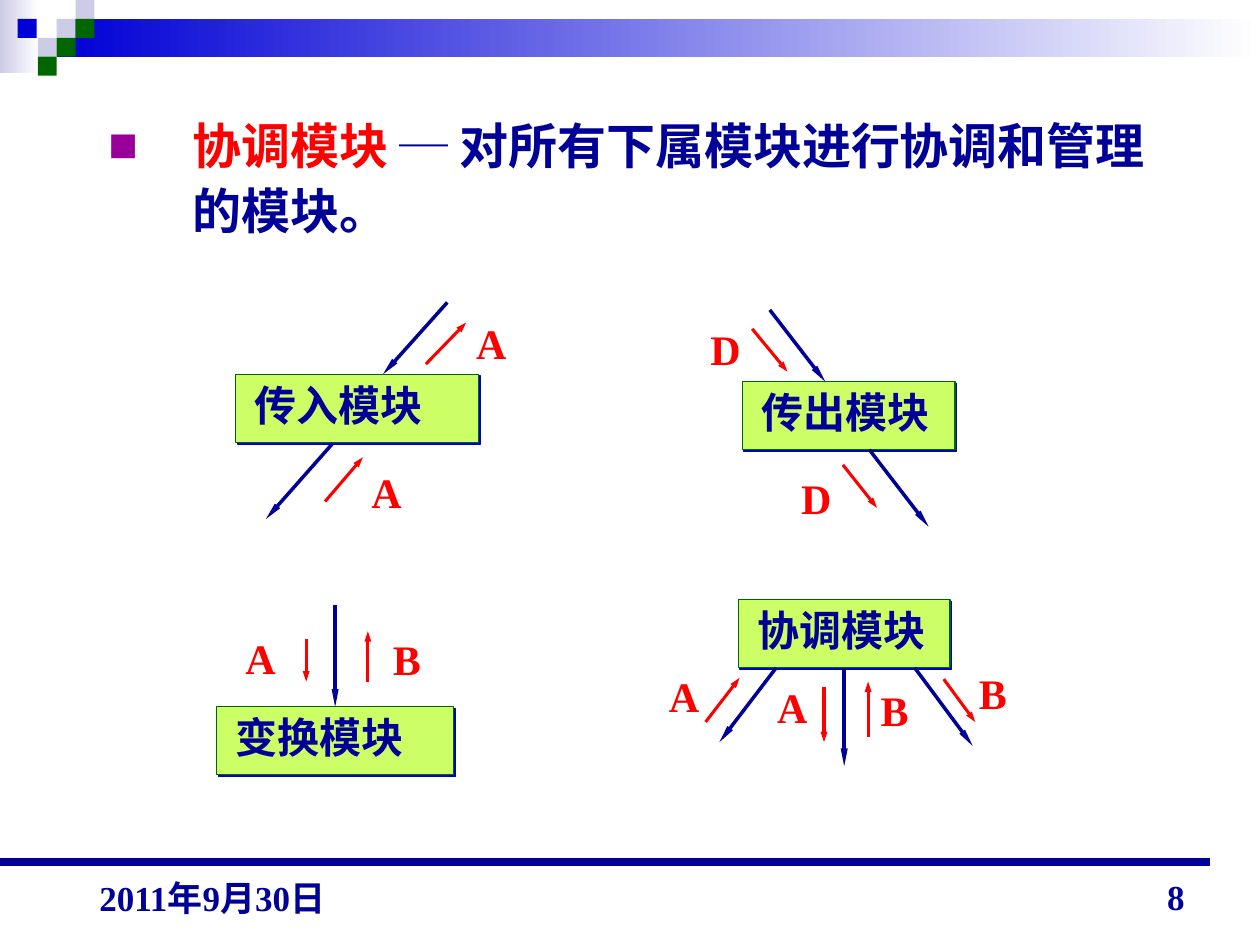
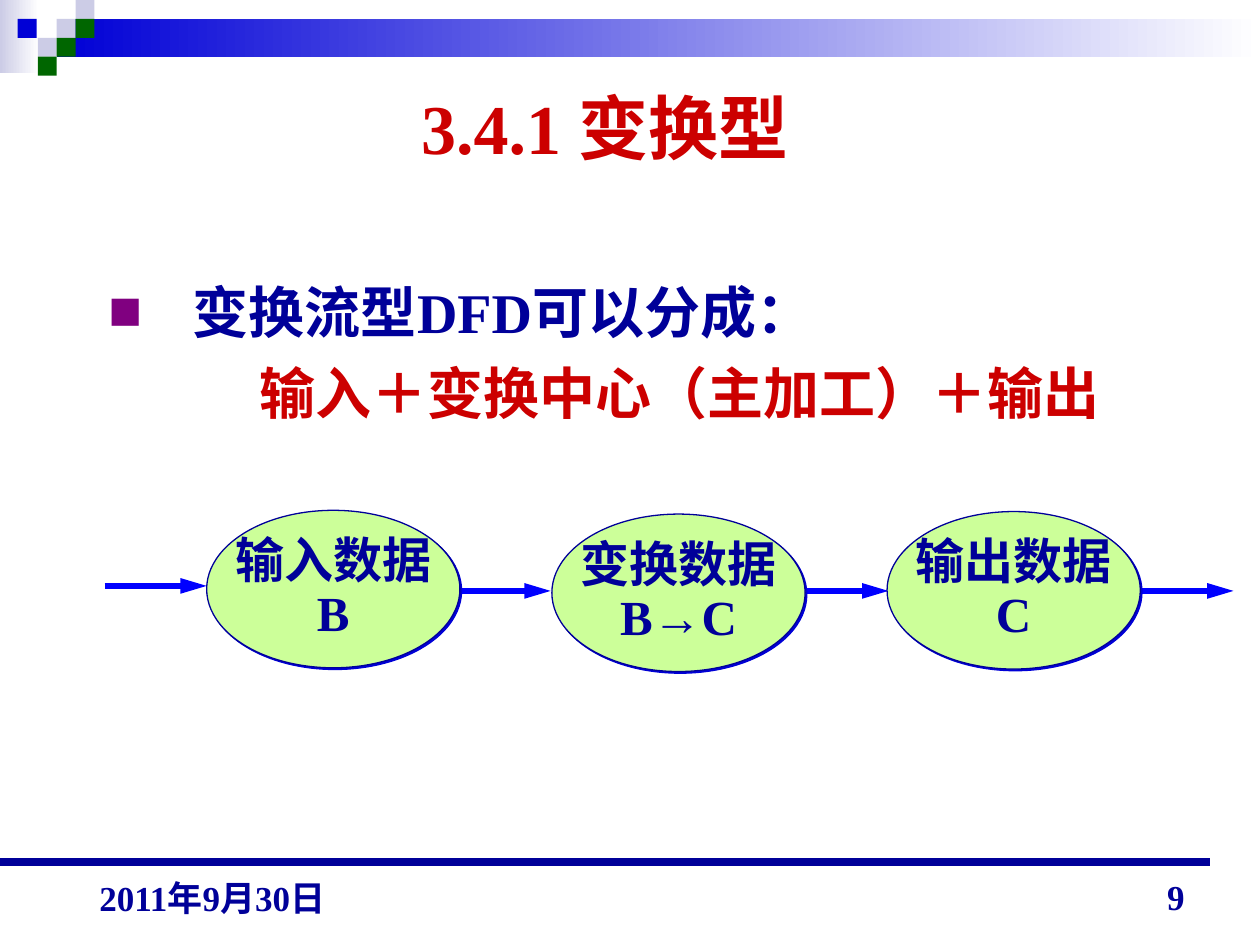
from lxml import etree
from pptx import Presentation
from pptx import util as u
from pptx.dml.color import RGBColor
from pptx.enum import shapes, text
from pptx.oxml.ns import qn

PX = 9144  # EMU per px, 100 px to the inch
FONT, SYMBOL_FONT = "Times New Roman", "Arial"

WHITE = RGBColor(0xFF, 0xFF, 0xFF)
NAVY = RGBColor(0x00, 0x00, 0x99)
BAND_BLUE = RGBColor(0x00, 0x00, 0xD6)
ARROW_BLUE = RGBColor(0x00, 0x00, 0xFF)
LAVENDER = RGBColor(0xCC, 0xCC, 0xE6)
GREEN = RGBColor(0x00, 0x66, 0x00)
LIME = RGBColor(0xCC, 0xFF, 0x66)
PALE_GREEN = RGBColor(0xCC, 0xFF, 0x99)
RED = RGBColor(0xFF, 0x00, 0x00)
DARK_RED = RGBColor(0xCC, 0x00, 0x00)
PURPLE = RGBColor(0x99, 0x00, 0x99)
DARK_PURPLE = RGBColor(0x80, 0x00, 0x80)

DATE = "2011年9月30日"

# Header: gradient bands (box, left colour), then the small squares
BANDS = [((0, 0, 31, 58), LAVENDER), ((45, 15, 955, 30), BAND_BLUE)]
SQUARE = 15
SQUARES = [
    (45, 15, LAVENDER), (60, 0, LAVENDER), (60, 15, GREEN), (30, 30, LAVENDER),
    (14, 15, BAND_BLUE), (45, 30, GREEN), (30, 45, GREEN),
]

# Arrow styles: colour, points, head width, head length
CALL = (NAVY, 2, "sm", "lg")
DATA = (RED, 1.75, "sm", "med")
FLOW = (ARROW_BLUE, 3, "med", "lg")

# Paragraphs: runs (text, colour), size, left margin, first indent,
# line spacing, space before, bullet colour
COORDINATION = [
    dict(runs=[("协调模块", RED), (" ─ 对所有下属模块进行协调和管理的模块。", NAVY)],
         size=28, margin=67, indent=-67, spacing=1.1, before=0, bullet=PURPLE),
]
TRANSFORM_TITLE = "3.4.1 变换型"
TRANSFORM = [
    dict(runs=[("变换流型DFD可以分成：", NAVY)], size=32, margin=67, indent=-67,
         spacing=1.0, before=0, bullet=DARK_PURPLE),
    dict(runs=[("输入＋变换中心（主加工）＋输出", DARK_RED)], size=32, margin=120, indent=0,
         spacing=1.0, before=8, bullet=None),
]

# Arrows run (x1, y1, x2, y2); "caller" and "callee" meet the middle of the box
MODULES = [
    dict(name="传入模块", box=(187, 297, 193, 54),
         calls=[(355, 240, 304, 297), (264, 352, 211, 412)],
         data=[(338, 289, 370, 256), (258, 398, 288, 363)],
         labels=[("A", 285, 365), ("A", 368, 247)]),
    dict(name="传出模块", box=(589, 303, 169, 54),
         calls=[(611, 246, 655, 303), (690, 357, 737, 418)],
         data=[(597, 261, 625, 295), (669, 369, 696, 403)],
         labels=[("D", 626, 370), ("D", 554, 252)]),
    dict(name="变换模块", box=(172, 561, 188, 54),
         calls=[], callee=(266, 480, 266, 561),
         data=[(292, 541, 292, 501), (243, 507, 243, 541)],
         labels=[("A", 185, 497), ("B", 302, 498)]),
    dict(name="协调模块", box=(586, 476, 168, 54),
         calls=[(616, 530, 571, 589), (726, 530, 772, 592)], caller=(670, 530, 670, 608),
         data=[(749, 539, 774, 573), (560, 573, 587, 538),
               (654, 545, 654, 589), (689, 585, 689, 541)],
         labels=[("A", 607, 536), ("A", 521, 527), ("B", 689, 538), ("B", 767, 525)]),
]

BUBBLE = (201, 125)
BUBBLES = [
    (164, 405, ["输入数据", "B"]),
    (438, 408, ["变换数据", "B→C"]),
    (704, 406, ["输出数据", "C"]),
]
FLOW_LENGTH = 81
FLOWS = [(83, 465), (356, 469), (624, 469), (898, 469)]


def px(*values):
    return [round(v * PX) for v in values]


def style(r, size, color, font=FONT):
    r.font.name, r.font.size, r.font.bold = font, u.Pt(size), True
    r.font.color.rgb = color


def add_shape(s, kind, box, fill, line=None):
    sp = s.shapes.add_shape(kind, *px(*box))
    sp.shadow.inherit = False
    sp.fill.solid()
    sp.fill.fore_color.rgb = fill
    if line is None:
        sp.line.fill.background()
    else:
        sp.line.color.rgb, sp.line.width = line, u.Pt(0.75)
    return sp


def drop_shadow(sp):
    """Give a shape a thin hard edge to the lower right."""
    effects = sp._element.spPr.find(qn("a:effectLst"))
    shadow = etree.SubElement(effects, qn("a:outerShdw"), blurRad="0", dist="17780",
                              dir="2700000", algn="ctr", rotWithShape="0")
    etree.SubElement(shadow, qn("a:srgbClr"), val=str(BAND_BLUE))


def add_line(s, ends, color, width):
    c = s.shapes.add_connector(shapes.MSO_CONNECTOR.STRAIGHT, *px(*ends))
    c.line.color.rgb, c.line.width = color, u.Pt(width)
    etree.SubElement(c._element.spPr, qn("a:effectLst"))
    return c


def add_arrow(s, ends, arrow_style):
    color, width, head_width, head_length = arrow_style
    c = add_line(s, ends, color, width)
    etree.SubElement(c.line._get_or_add_ln(), qn("a:tailEnd"),
                     type="triangle", w=head_width, len=head_length)
    return c


def add_text(s, box, content, size, color, align=text.PP_ALIGN.LEFT,
             anchor=text.MSO_ANCHOR.TOP, wrap=True):
    tf = s.shapes.add_textbox(*px(*box)).text_frame
    tf.word_wrap, tf.vertical_anchor = wrap, anchor
    tf.text = content
    p = tf.paragraphs[0]
    p.alignment = align
    style(p.runs[0], size, color)


def place(sp, box):
    sp.left, sp.top, sp.width, sp.height = px(*box)
    sp.text_frame.auto_size = text.MSO_AUTO_SIZE.NONE
    return sp.text_frame


def fill_title(s, box, content):
    tf = place(s.shapes.title, box)
    tf.vertical_anchor = text.MSO_ANCHOR.MIDDLE
    tf.text = content
    p = tf.paragraphs[0]
    p.alignment = text.PP_ALIGN.CENTER
    style(p.runs[0], 40, DARK_RED)


def set_bullet(p, color, margin, indent):
    pPr = p._p.get_or_add_pPr()
    pPr.set("marL", str(margin * PX))
    pPr.set("indent", str(indent * PX))
    if color is None:
        etree.SubElement(pPr, qn("a:buNone"))
        return
    bullet_color = etree.SubElement(pPr, qn("a:buClr"))
    etree.SubElement(bullet_color, qn("a:srgbClr"), val=str(color))
    etree.SubElement(pPr, qn("a:buFont"), typeface=FONT)
    etree.SubElement(pPr, qn("a:buChar"), char="■")


def fill_body(s, box, paragraphs):
    tf = place(s.placeholders[1], box)
    for i, item in enumerate(paragraphs):
        p = tf.add_paragraph() if i else tf.paragraphs[0]
        set_bullet(p, item["bullet"], item["margin"], item["indent"])
        p.alignment = text.PP_ALIGN.LEFT
        p.line_spacing = item["spacing"]
        p.space_before = u.Pt(item["before"])
        for content, color in item["runs"]:
            r = p.add_run()
            r.text = content
            style(r, item["size"], color)


def add_slide(prs, number):
    """Add a slide with the header squares, footer rule, date and number."""
    s = prs.slides.add_slide(prs.slide_layouts[1])
    for box, color in BANDS:
        band = add_shape(s, shapes.MSO_SHAPE.RECTANGLE, box, color)
        band.fill.gradient()
        band.fill.gradient_angle = 0
        for stop, stop_color, position in zip(band.fill.gradient_stops, (color, WHITE), (0, 1)):
            stop.color.rgb, stop.position = stop_color, position
    for x, y, color in SQUARES:
        add_shape(s, shapes.MSO_SHAPE.RECTANGLE, (x, y, SQUARE, SQUARE), color)
    add_line(s, (0, 684, 960, 684), NAVY, 4.5)
    bottom = text.MSO_ANCHOR.BOTTOM
    add_text(s, (717, 683, 233, 50), str(number), 20, NAVY, text.PP_ALIGN.RIGHT, bottom)
    add_text(s, (69, 682, 233, 52), DATE, 20, NAVY, anchor=bottom)
    return s


def add_module(s, module):
    sp = add_shape(s, shapes.MSO_SHAPE.RECTANGLE, module["box"], LIME, GREEN)
    drop_shadow(sp)
    tf = sp.text_frame
    tf.word_wrap, tf.vertical_anchor = False, text.MSO_ANCHOR.TOP
    tf.margin_left, tf.margin_top = px(15, 4)
    tf.text = module["name"]
    tf.paragraphs[0].alignment = text.PP_ALIGN.LEFT
    style(tf.paragraphs[0].runs[0], 24, NAVY)
    for ends in module["calls"]:
        add_arrow(s, ends, CALL)
    if "callee" in module:
        add_arrow(s, module["callee"], CALL).end_connect(sp, 0)
    if "caller" in module:
        add_arrow(s, module["caller"], CALL).begin_connect(sp, 2)
    for ends in module["data"]:
        add_arrow(s, ends, DATA)
    for label, x, y in module["labels"]:
        add_text(s, (x, y, 44, 50), label, 24, RED, wrap=False)


def add_bubble(s, x, y, lines):
    sp = add_shape(s, shapes.MSO_SHAPE.OVAL, (x, y, *BUBBLE), PALE_GREEN, NAVY)
    drop_shadow(sp)
    tf = sp.text_frame
    tf.word_wrap, tf.vertical_anchor = False, text.MSO_ANCHOR.MIDDLE
    tf.margin_left = tf.margin_right = tf.margin_top = tf.margin_bottom = 0
    for i, line in enumerate(lines):
        p = tf.add_paragraph() if i else tf.paragraphs[0]
        p.alignment, p.line_spacing = text.PP_ALIGN.CENTER, 0.9
        for part in line.replace("→", " → ").split():
            r = p.add_run()
            r.text = part
            style(r, 28, NAVY, SYMBOL_FONT if part == "→" else FONT)


def main():
    prs = Presentation()
    prs.slide_width, prs.slide_height = px(1000, 750)

    s = add_slide(prs, 8)
    title = s.shapes.title._element
    title.getparent().remove(title)
    fill_body(s, (76, 82, 850, 131), COORDINATION)
    for module in MODULES:
        add_module(s, module)

    s = add_slide(prs, 9)
    fill_title(s, (30, 49, 900, 103), TRANSFORM_TITLE)
    fill_body(s, (76, 215, 837, 305), TRANSFORM)
    for x, y in FLOWS:
        add_arrow(s, (x, y, x + FLOW_LENGTH, y), FLOW)
    for bubble in BUBBLES:
        add_bubble(s, *bubble)

    prs.save("out.pptx")


if __name__ == "__main__":
    main()
